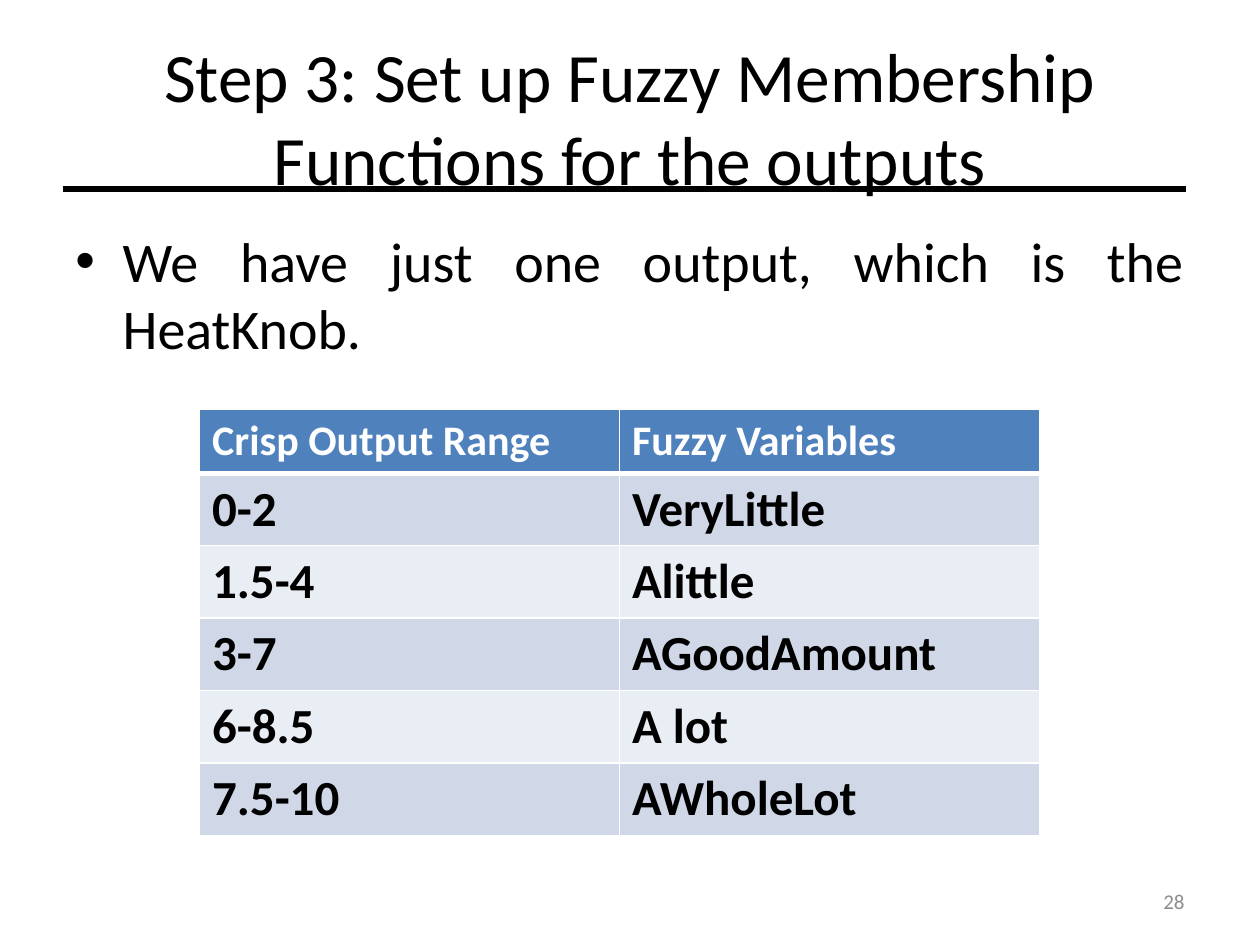
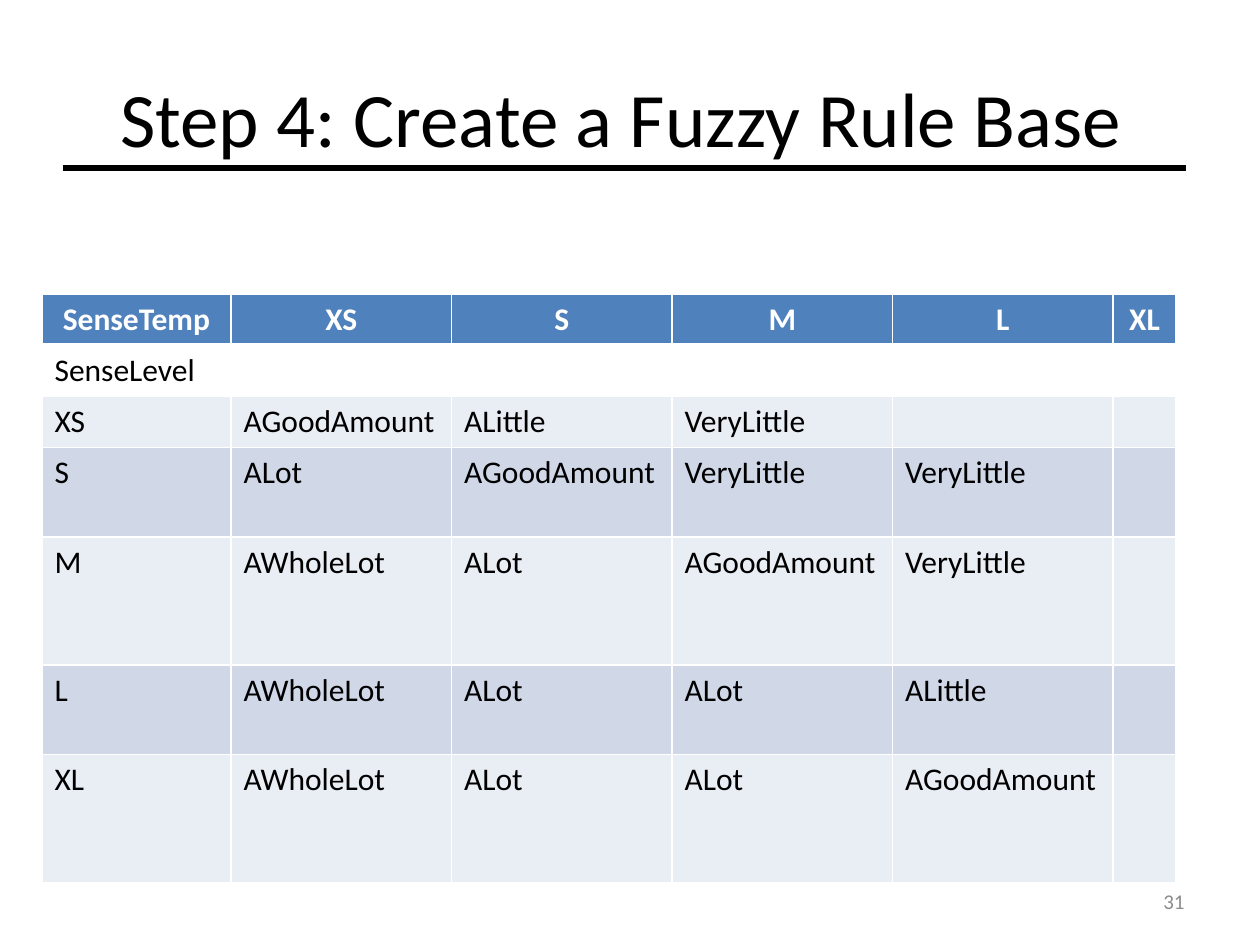
from lxml import etree
from pptx import Presentation
from pptx.dml.color import RGBColor
from pptx.enum import shapes, text
from pptx.oxml import ns
from pptx.util import Pt

FONT = "Calibri"
COLOURS = {
    "ink": "000000", "paper": "FFFFFF", "number": "8C8C8C",
    "header": "4F81BD", "dark band": "D0D8E8", "light band": "E9EDF4",
}
ALIGN = text.PP_ALIGN

SLIDES = [
    {
        "title": "Step 3: Set up Fuzzy Membership Functions for the outputs",
        "title size": 39.6, "rule y": 108, "number": "28",
        "bullet": "We have just one output, which is the HeatKnob.",
        "table": {
            "at": (114, 234), "columns": [240, 240], "heights": [36.4] + [41.4] * 5,
            "sizes": (24, 28), "bold body": True, "header align": ALIGN.LEFT,
            "bands": ["header"] + ["dark band", "light band"] * 2 + ["dark band"],
            "rows": [
                ("Crisp Output Range", "Fuzzy Variables"),
                ("0-2", "VeryLittle"),
                ("1.5-4", "Alittle"),
                ("3-7", "AGoodAmount"),
                ("6-8.5", "A lot"),
                ("7.5-10", "AWholeLot"),
            ],
        },
    },
    {
        "title": "Step 4: Create a Fuzzy Rule Base ",
        "title size": 44, "rule y": 96, "number": "31",
        "table": {
            "at": (24, 168), "columns": [108] + [126] * 4 + [36],
            "heights": [29.2] * 3 + [51.2, 73.2] * 2,
            "sizes": (18, 18), "bold body": False, "header align": ALIGN.CENTER,
            "bands": ["header", "paper", "light band"] + ["dark band", "light band"] * 2,
            "rows": [
                ("SenseTemp", "XS", "S", "M", "L", "XL"),
                ("SenseLevel", "", "", "", "", ""),
                ("XS", "AGoodAmount", "ALittle", "VeryLittle", "", ""),
                ("S", "ALot", "AGoodAmount", "VeryLittle", "VeryLittle", ""),
                ("M", "AWholeLot", "ALot", "AGoodAmount", "VeryLittle", ""),
                ("L", "AWholeLot", "ALot", "ALot", "ALittle", ""),
                ("XL", "AWholeLot", "ALot", "ALot", "AGoodAmount", ""),
            ],
        },
    },
]


def colour(name):
    return RGBColor.from_string(COLOURS[name])


def add_child(parent, tag, **attributes):
    return etree.SubElement(parent, ns.qn(tag), attributes)


def style(para, size, ink="ink", align=ALIGN.LEFT, bold=False):
    para.alignment = align
    font = para.font
    font.name, font.size, font.bold = FONT, Pt(size), bold
    font.color.rgb = colour(ink)


def add_text(page, place, words, anchor=text.MSO_ANCHOR.MIDDLE):
    """Add a wrapping text box and return its paragraph."""
    box = page.shapes.add_textbox(*map(Pt, place))
    frame = box.text_frame
    frame.word_wrap = True
    frame.vertical_anchor = anchor
    frame.text = words
    return frame.paragraphs[0]


def add_bullet(page, words):
    para = add_text(page, (36, 126, 648, 356.4), words, text.MSO_ANCHOR.TOP)
    properties = para._p.get_or_add_pPr()
    properties.set("marL", str(Pt(27)))
    properties.set("indent", str(Pt(-27)))
    add_child(properties, "a:buFont", typeface="Arial")
    add_child(properties, "a:buChar", char="•")
    style(para, 32, align=ALIGN.JUSTIFY)


def add_rule(page, y):
    rule = page.shapes.add_connector(
        shapes.MSO_CONNECTOR.STRAIGHT, Pt(36), Pt(y), Pt(678), Pt(y))
    rule.line.color.rgb = colour("ink")
    rule.line.width = Pt(3)
    add_child(rule._element.spPr, "a:effectLst")


def add_borders(cell, bottom):
    properties = cell._tc.get_or_add_tcPr()
    for side, width in zip("LRTB", (1, 1, 1, bottom)):
        line = add_child(properties, f"a:ln{side}", w=str(Pt(width)))
        add_child(add_child(line, "a:solidFill"), "a:srgbClr", val=COLOURS["paper"])


def add_table(page, details):
    rows, columns, heights = details["rows"], details["columns"], details["heights"]
    place = (*details["at"], sum(columns), sum(heights))
    table = page.shapes.add_table(len(rows), len(columns), *map(Pt, place)).table
    table.horz_banding = False
    for column, width in zip(table.columns, columns):
        column.width = Pt(width)
    header_size, body_size = details["sizes"]
    for r, (row, height, band) in enumerate(zip(rows, heights, details["bands"])):
        table.rows[r].height = Pt(height)
        for c, words in enumerate(row):
            cell = table.cell(r, c)
            cell.text = words
            add_borders(cell, 3 if r == 0 else 1)
            cell.fill.solid()
            cell.fill.fore_color.rgb = colour(band)
            para = cell.text_frame.paragraphs[0]
            if r == 0:
                style(para, header_size, "paper", details["header align"], True)
            else:
                style(para, body_size, bold=details["bold body"])


def add_slide(deck, content):
    page = deck.slides.add_slide(deck.slide_layouts[6])
    title = add_text(page, (36, 21.6, 648, 90), content["title"])
    style(title, content["title size"], align=ALIGN.CENTER)
    if "bullet" in content:
        add_bullet(page, content["bullet"])
    add_table(page, content["table"])
    number = add_text(page, (516, 500.4, 168, 28.8), content["number"])
    style(number, 12, "number", ALIGN.RIGHT)
    add_rule(page, content["rule y"])


def main():
    deck = Presentation()
    deck.slide_width, deck.slide_height = Pt(720), Pt(540)
    for content in SLIDES:
        add_slide(deck, content)
    deck.save("out.pptx")


if __name__ == "__main__":
    main()
